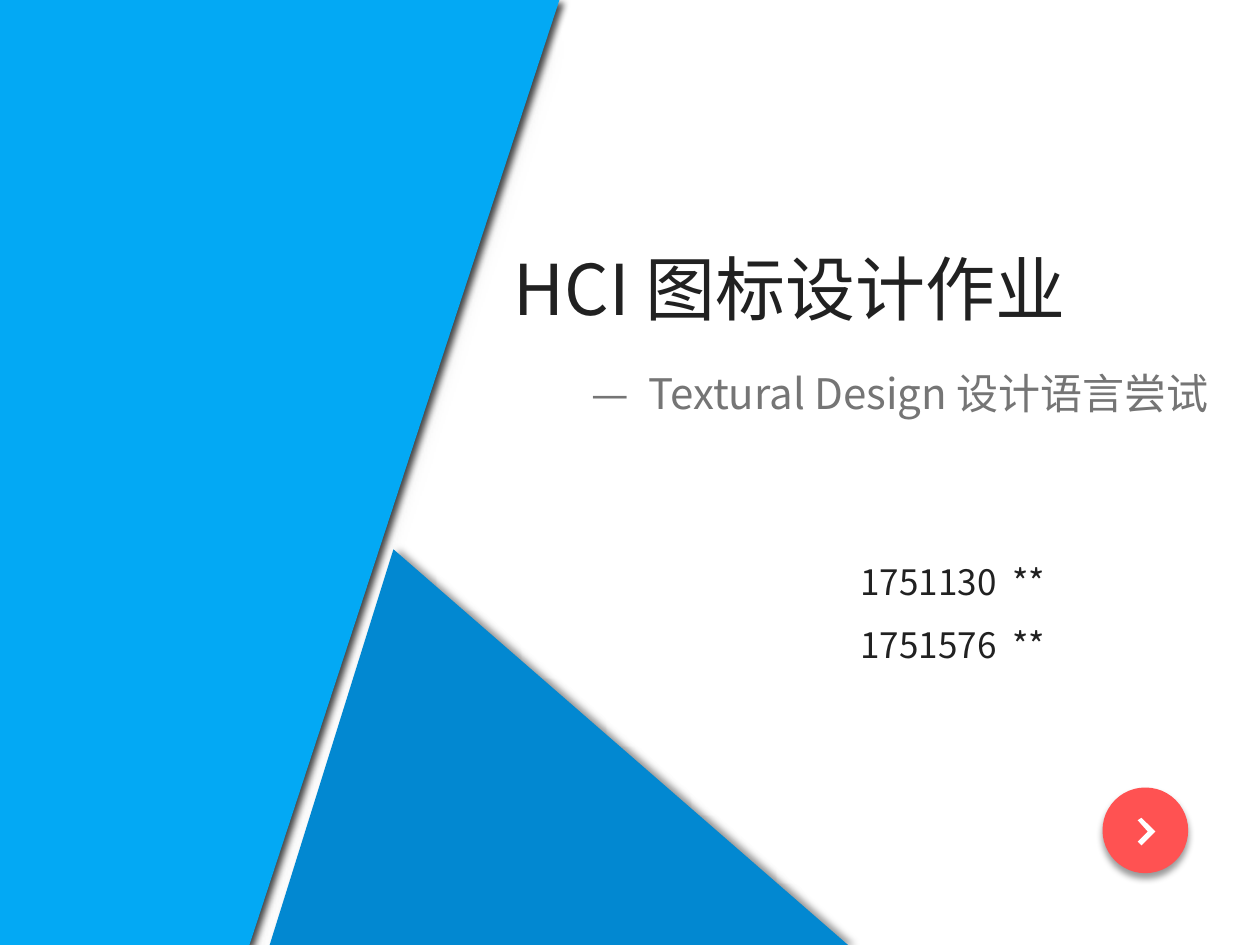
from lxml.etree import SubElement
from pptx import Presentation
from pptx.dml.color import RGBColor
from pptx.enum.shapes import MSO_SHAPE as Preset
from pptx.enum.text import MSO_AUTO_SIZE as AutoSize
from pptx.oxml.ns import qn
from pptx.util import Inches, Pt

WIDTH, HEIGHT = 10, 7.5
FONT = "Noto Sans CJK SC"
BLACK = RGBColor(0x00, 0x00, 0x00)
WHITE = RGBColor(0xFF, 0xFF, 0xFF)
LIGHT_BLUE = RGBColor(0x03, 0xA9, 0xF4)
DARK_BLUE = RGBColor(0x02, 0x88, 0xD1)
CORAL = RGBColor(0xFF, 0x52, 0x52)
INK = RGBColor(0x21, 0x21, 0x21)
GREY = RGBColor(0x75, 0x75, 0x75)
PEAK = 0.214
SOFT_RADIUS = 20


def paint(shape, color, opacity=100):
    """Fill a shape evenly, without outline or inherited shadow."""
    shape.shadow.inherit = False
    shape.fill.solid()
    shape.fill.fore_color.rgb = color
    shape.line.fill.background()
    if opacity < 100:
        tint = shape.fill._xPr.find(qn("a:solidFill"))[0]
        SubElement(tint, qn("a:alpha"), val=str(opacity * 1000))


def cast_shadow(shape, opacity, angle, soft_radius=0):
    """Add a drop shadow and, if asked, soft edges."""
    effects = shape._element.spPr.find(qn("a:effectLst"))
    shadow = SubElement(effects, qn("a:outerShdw"), blurRad=str(Pt(4)), dist=str(Pt(3)),
                        dir=str(angle * 60000), algn="ctr", rotWithShape="0")
    tint = SubElement(shadow, qn("a:srgbClr"), val=str(BLACK))
    SubElement(tint, qn("a:alpha"), val=str(opacity * 1000))
    if soft_radius:
        SubElement(effects, qn("a:softEdge"), rad=str(Pt(soft_radius)))


def add_outline(shapes, points, color, opacity=100):
    """Draw a closed polygon through points given in inches."""
    start, *others = [(Inches(x), Inches(y)) for x, y in points]
    builder = shapes.build_freeform(*start)
    builder.add_line_segments(others, close=True)
    outline = builder.convert_to_shape()
    paint(outline, color, opacity)
    return outline


def add_panel(shapes, top_width, bottom_width, height, color, opacity=100, soft_radius=0):
    """Draw the slanted panel along the left edge."""
    corners = [(0, 0), (top_width, 0), (bottom_width, height), (0, height)]
    panel = add_outline(shapes, corners, color, opacity)
    cast_shadow(panel, 71, 45, soft_radius)


def add_peak(shapes, box, color, opacity=100, soft_radius=0):
    """Draw the leaning triangle at the bottom."""
    peak = shapes.add_shape(Preset.ISOSCELES_TRIANGLE, *map(Inches, box))
    peak.adjustments[0] = PEAK
    paint(peak, color, opacity)
    cast_shadow(peak, 40, 0, soft_radius)


def add_next_button(shapes):
    """Draw the round button with its chevron as one group."""
    button = shapes.add_group_shape().shapes
    size = 0.68
    disc = button.add_shape(Preset.OVAL, *map(Inches, (8.75, 6.25, size, size)))
    paint(disc, CORAL)
    cast_shadow(disc, 40, 90)
    chevron = [(9.03, 6.68), (9.11, 6.6), (9.03, 6.51), (9.06, 6.49), (9.17, 6.6), (9.06, 6.71)]
    add_outline(button, chevron, WHITE)


def add_text(shapes, box, lines, size, color, spacing=None):
    """Write one paragraph per line in a text box."""
    frame = shapes.add_textbox(*map(Inches, box)).text_frame
    frame.word_wrap = True
    frame.auto_size = AutoSize.SHAPE_TO_FIT_TEXT
    for index, line in enumerate(lines):
        paragraph = frame.add_paragraph() if index else frame.paragraphs[0]
        paragraph.line_spacing = spacing
        run = paragraph.add_run()
        run.text = line
        run.font.size = Pt(size)
        run.font.name = FONT
        run.font.color.rgb = color
        SubElement(run.font._element, qn("a:ea"), typeface=FONT)


def main():
    """Build the title slide and save it."""
    deck = Presentation()
    deck.slide_width, deck.slide_height = Inches(WIDTH), Inches(HEIGHT)
    shapes = deck.slides.add_slide(deck.slide_layouts[6]).shapes

    add_panel(shapes, 4.7, 2.1, 7.93, BLACK, 20, SOFT_RADIUS)
    add_peak(shapes, (2.05, 4.07, 5.16, 3.53), BLACK, 20, SOFT_RADIUS)
    add_peak(shapes, (2.14, 4.36, 4.59, 3.14), DARK_BLUE)
    add_panel(shapes, 4.44, 1.98, HEIGHT, LIGHT_BLUE)
    add_next_button(shapes)

    add_text(shapes, (3.98, 1.9, 4.78, 0.77), ["HCI 图标设计作业"], 40, INK)
    add_text(shapes, (4.6, 2.87, 5.23, 0.5), ["—  Textural Design 设计语言尝试"], 24, GREY)
    members = [f"{number}  **" for number in (1751130, 1751576)]
    add_text(shapes, (6.73, 4.23, 1.98, 1.05), members, 20, INK, 1.5)

    deck.save("out.pptx")


if __name__ == "__main__":
    main()
